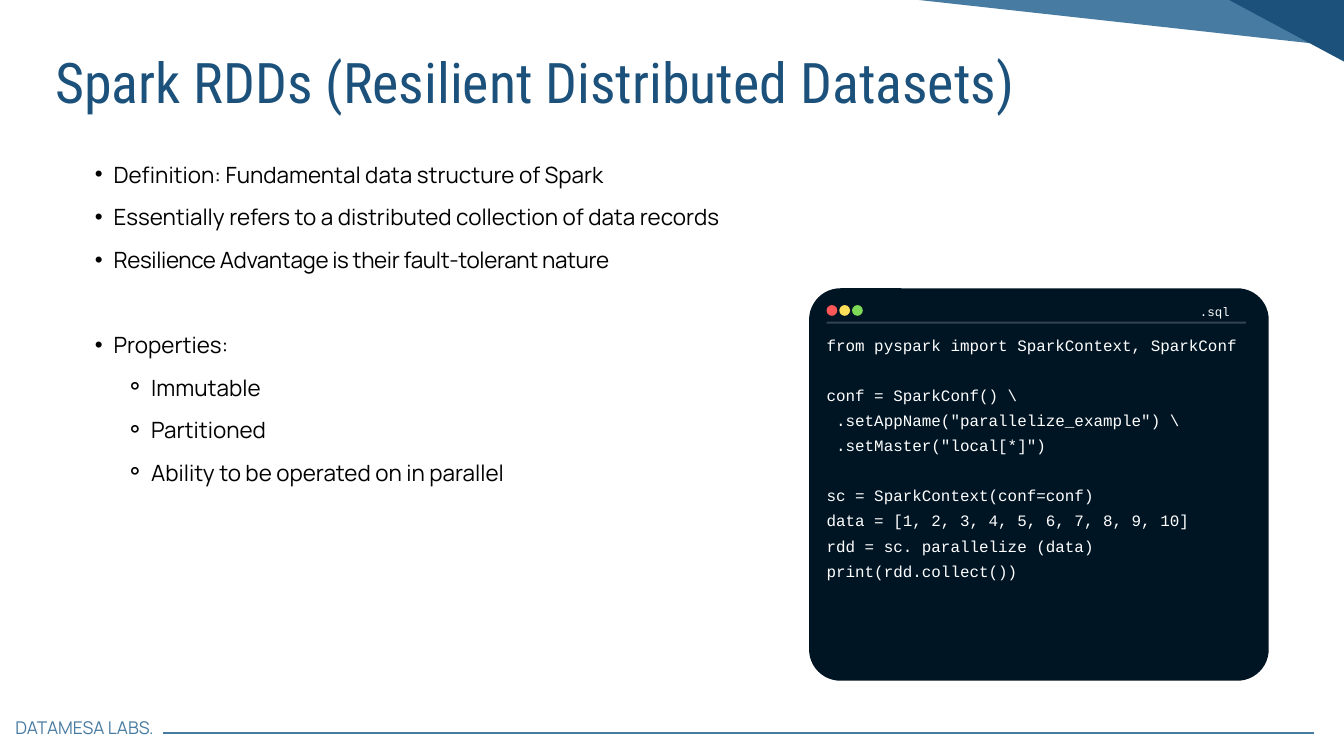
from lxml import etree
from pptx import Presentation, util as u
from pptx.dml.color import RGBColor
from pptx.enum import shapes, text
from pptx.oxml.ns import qn

HUES = {"navy": "1B517B", "steel": "487BA2", "ink": "000000", "night": "001524",
        "white": "FFFFFF", "red": "FF5757", "gold": "FFDE59", "green": "7ED957"}

# Font, size, colour and line pitch of each kind of text
STYLES = {
    "title": ("Roboto Condensed", 60, "navy", 72),
    "body": ("Manrope", 24, "ink", 45.6),
    "foot": ("Manrope", 18.8, "steel", 22.6),
    "code": ("Courier New", 17, "white", 26.9),
    "tag": ("Courier New", 13.3, "white", 21.1),
}

# Bullet sign, left margin and hanging indent by level
BULLETS = {1: ("•", 0.57, -0.28), 2: ("⚬", 1.13, -0.38)}

# Each group starts after one free line
POINTS = [
    [(1, "Definition: Fundamental data structure of Spark"),
     (1, "Essentially refers to a distributed collection of data records"),
     (1, "Resilience Advantage is their fault-tolerant nature")],
    [(1, "Properties:"),
     (2, "Immutable"),
     (2, "Partitioned"),
     (2, "Ability to be operated on in parallel")],
]
TIGHT = "Resilience"

CODE = [
    ["from pyspark import SparkContext, SparkConf"],
    ["conf = SparkConf() \\",
     " .setAppName(\"parallelize_example\") \\",
     " .setMaster(\"local[*]\")"],
    ["sc = SparkContext(conf=conf)",
     "data = [1, 2, 3, 4, 5, 6, 7, 8, 9, 10]",
     "rdd = sc. parallelize (data)",
     "print(rdd.collect())"],
]


def hue(name):
    return RGBColor.from_string(HUES[name])


def inches(box):
    return [u.Inches(n) for n in box]


def assign(item, values):
    for name, value in values.items():
        setattr(item, name, value)


def add_bullet(para, level):
    sign, left, hang = BULLETS[level]
    para.level = level
    props = para._p.get_or_add_pPr()
    props.set("marL", str(u.Inches(left)))
    props.set("indent", str(u.Inches(hang)))
    etree.SubElement(props, qn("a:buFont")).set("typeface", "Arial")
    etree.SubElement(props, qn("a:buChar")).set("char", sign)


def add_text(slide, box, style, groups, align=text.PP_ALIGN.LEFT):
    """Write groups of (level, line) pairs, one free line between groups."""
    face, size, tint, pitch = STYLES[style]
    frame = slide.shapes.add_textbox(*inches(box)).text_frame
    assign(frame, {"margin_left": 0, "margin_top": 0, "margin_right": 0,
                   "margin_bottom": 0, "word_wrap": True,
                   "auto_size": text.MSO_AUTO_SIZE.SHAPE_TO_FIT_TEXT})
    para = None
    for group in groups:
        for spot, (level, line) in enumerate(group):
            gap = para is not None and spot == 0
            para = frame.add_paragraph() if para else frame.paragraphs[0]
            assign(para, {"alignment": align, "line_spacing": u.Pt(pitch)})
            if gap:
                para.space_before = u.Pt(pitch)
            if level:
                add_bullet(para, level)
            run = para.add_run()
            run.text = line
            assign(run.font, {"name": face, "size": u.Pt(size)})
            run.font.color.rgb = hue(tint)
            if line.startswith(TIGHT):
                run._r.get_or_add_rPr().set("spc", "-40")


def add_line(slide, label_box, style, line, **extra):
    add_text(slide, label_box, style, [[(0, line)]], **extra)


def add_form(slide, kind, box, tint, turn=0):
    form = slide.shapes.add_shape(kind, *inches(box))
    form.shadow.inherit = False
    form.fill.solid()
    form.fill.fore_color.rgb = hue(tint)
    form.line.fill.background()
    form.rotation = turn
    return form


def add_rule(slide, left, right, top, tint, width, alpha=None):
    rule = slide.shapes.add_connector(
        shapes.MSO_CONNECTOR.STRAIGHT, *inches((left, top, right, top)))
    rule.line.width = u.Pt(width)
    rule.line.color.rgb = hue(tint)
    props = rule._element.spPr
    if alpha:
        shade = props.find(".//" + qn("a:srgbClr"))
        etree.SubElement(shade, qn("a:alpha")).set("val", str(alpha * 1000))
    etree.SubElement(props, qn("a:effectLst"))


def add_panel(slide):
    kinds = shapes.MSO_SHAPE
    panel = add_form(slide, kinds.ROUNDED_RECTANGLE,
                     (12.04, 4.29, 6.84, 5.84), "night")
    panel.adjustments[0] = 0.08
    add_rule(slide, 12.3, 18.54, 4.8, "white", 2.25, alpha=20)
    add_text(slide, (12.3, 4.9, 6.41, 3.98), "code",
             [[(0, line) for line in group] for group in CODE])
    for spot, tint in enumerate(("red", "gold", "green")):
        add_form(slide, kinds.OVAL, (12.3 + spot * 0.19, 4.54, 0.16, 0.16), tint)
    add_line(slide, (14.84, 4.46, 3.46, 0.27), "tag", ".sql",
             align=text.PP_ALIGN.RIGHT)


def main():
    deck = Presentation()
    assign(deck, {"slide_width": u.Inches(20), "slide_height": u.Inches(11.25)})
    slide = deck.slides.add_slide(deck.slide_layouts[6])

    # Title and bullet points
    add_line(slide, (0.82, 0.71, 18.26, 1.02), "title",
             "Spark RDDs (Resilient Distributed Datasets)")
    add_text(slide, (1.12, 2.16, 14.91, 4.96), "body", POINTS)

    # Corner bands
    band = shapes.MSO_SHAPE.RECTANGLE
    add_form(slide, band, (16.52, -3.26, 0.59, 6.62), "steel", 96.3)
    add_form(slide, band, (18.9, -0.99, 0.89, 2.1), "navy", 298.2)

    # Code window
    add_panel(slide)

    # Footer
    add_line(slide, (0.23, 10.67, 2.2, 0.33), "foot", "DATAMESA LABS.")
    add_rule(slide, 2.43, 19.56, 10.91, "steel", 1.5)

    deck.save("out.pptx")


if __name__ == "__main__":
    main()
